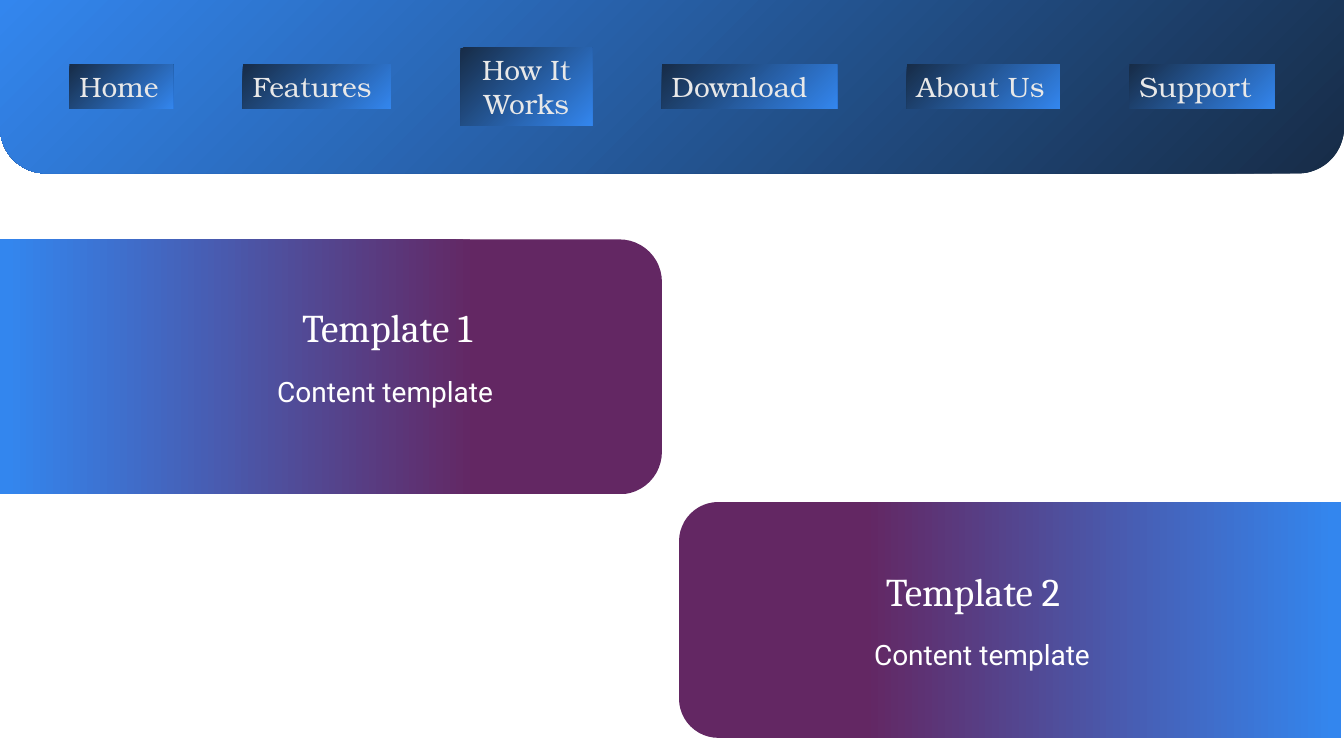
from pptx import Presentation, util as u
from pptx.dml.color import RGBColor
from pptx.enum import shapes, text

W, H = 13.33, 7.5
NAVY, BLUE, PURPLE, WHITE, GREY = "172C47", "3386EE", "632763", "FFFFFF", "E8E8E8"

# Menu labels with their box widths; the gaps follow from the slide width
MENU = [("Home", 1.03), ("Features", 1.47), ("How It Works", 1.31),
        ("Download", 1.74), ("About Us", 1.52), ("Support", 1.44)]
BAR_H = 1.72
BUTTON_H, TALL_BUTTON_H = 0.44, 0.77

# Cards: centre, thickness, rotation, title text, centres of title and content
CARD_LENGTH = 6.57
CARDS = [
    dict(centre=(3.28, 3.64), depth=2.53, rotation=90, title="Template 1",
         title_x=3.84, content_x=3.82, title_y=3.25),
    dict(centre=(10.02, 6.15), depth=2.34, rotation=270, title="Template 2",
         title_x=9.65, content_x=9.74, title_y=5.86),
]
CONTENT_DROP = 0.64

MENU_FONT = dict(name="TeX Gyre Bonum", size=u.Pt(20))
TITLE_FONT = dict(name="Cambria", size=u.Pt(28))
CONTENT_FONT = dict(name="Roboto", size=u.Pt(20))


def color(hex_string):
    return RGBColor.from_string(hex_string)


def centred(cx, cy, w, h):
    """Box of the given size around a centre point."""
    return [u.Inches(v) for v in (cx - w / 2, cy - h / 2, w, h)]


def add_gradient_shape(s, kind, box, stops, angle, rotation=0):
    sp = s.shapes.add_shape(kind, *box)
    sp.shadow.inherit = False
    sp.line.fill.background()
    sp.rotation = rotation
    sp.fill.gradient()
    sp.fill.gradient_angle = 360 - angle
    for stop, (position, hex_string) in zip(sp.fill.gradient_stops, stops):
        stop.position = position
        stop.color.rgb = color(hex_string)
    return sp


def write(sp, words, font, hex_string, align=text.PP_ALIGN.CENTER):
    tf = sp.text_frame
    tf.word_wrap = True
    tf.auto_size = text.MSO_AUTO_SIZE.SHAPE_TO_FIT_TEXT
    tf.vertical_anchor = text.MSO_ANCHOR.TOP
    p = tf.paragraphs[0]
    p.alignment = align
    r = p.add_run()
    r.text = words
    for key, value in font.items():
        setattr(r.font, key, value)
    r.font.color.rgb = color(hex_string)


def add_label(s, words, box, font):
    write(s.shapes.add_textbox(*box), words, font, WHITE)


def add_menu(s):
    stops = [(0, NAVY), (1, BLUE)]
    middle = BAR_H / 2
    bar = add_gradient_shape(s, shapes.MSO_SHAPE.ROUND_2_SAME_RECTANGLE,
                             centred(W / 2, middle, W, BAR_H), stops, 45, 180)
    bar.adjustments[0] = 0.265
    gap = (W - sum(width for _, width in MENU)) / (len(MENU) + 1)
    x = gap
    for words, width in MENU:
        two_lines = words == "How It Works"
        height = TALL_BUTTON_H if two_lines else BUTTON_H
        button = add_gradient_shape(s, shapes.MSO_SHAPE.RECTANGLE,
                                    centred(x + width / 2, middle, width, height),
                                    stops, 45)
        align = text.PP_ALIGN.CENTER if two_lines else text.PP_ALIGN.LEFT
        write(button, words, MENU_FONT, GREY, align)
        x += width + gap


def add_card(s, centre, depth, rotation, title, title_x, content_x, title_y):
    add_gradient_shape(s, shapes.MSO_SHAPE.ROUND_2_SAME_RECTANGLE,
                       centred(*centre, depth, CARD_LENGTH),
                       [(0.28, PURPLE), (0.99, BLUE)], 90, rotation)
    add_label(s, "Content template",
              centred(content_x, title_y + CONTENT_DROP, 6.14, 0.44), CONTENT_FONT)
    add_label(s, title, centred(title_x, title_y, 4.3, 0.57), TITLE_FONT)


def main():
    prs = Presentation()
    prs.slide_width, prs.slide_height = u.Inches(W), u.Inches(H)
    s = prs.slides.add_slide(prs.slide_layouts[6])
    add_menu(s)
    for card in CARDS:
        add_card(s, **card)
    prs.save("out.pptx")


if __name__ == "__main__":
    main()
